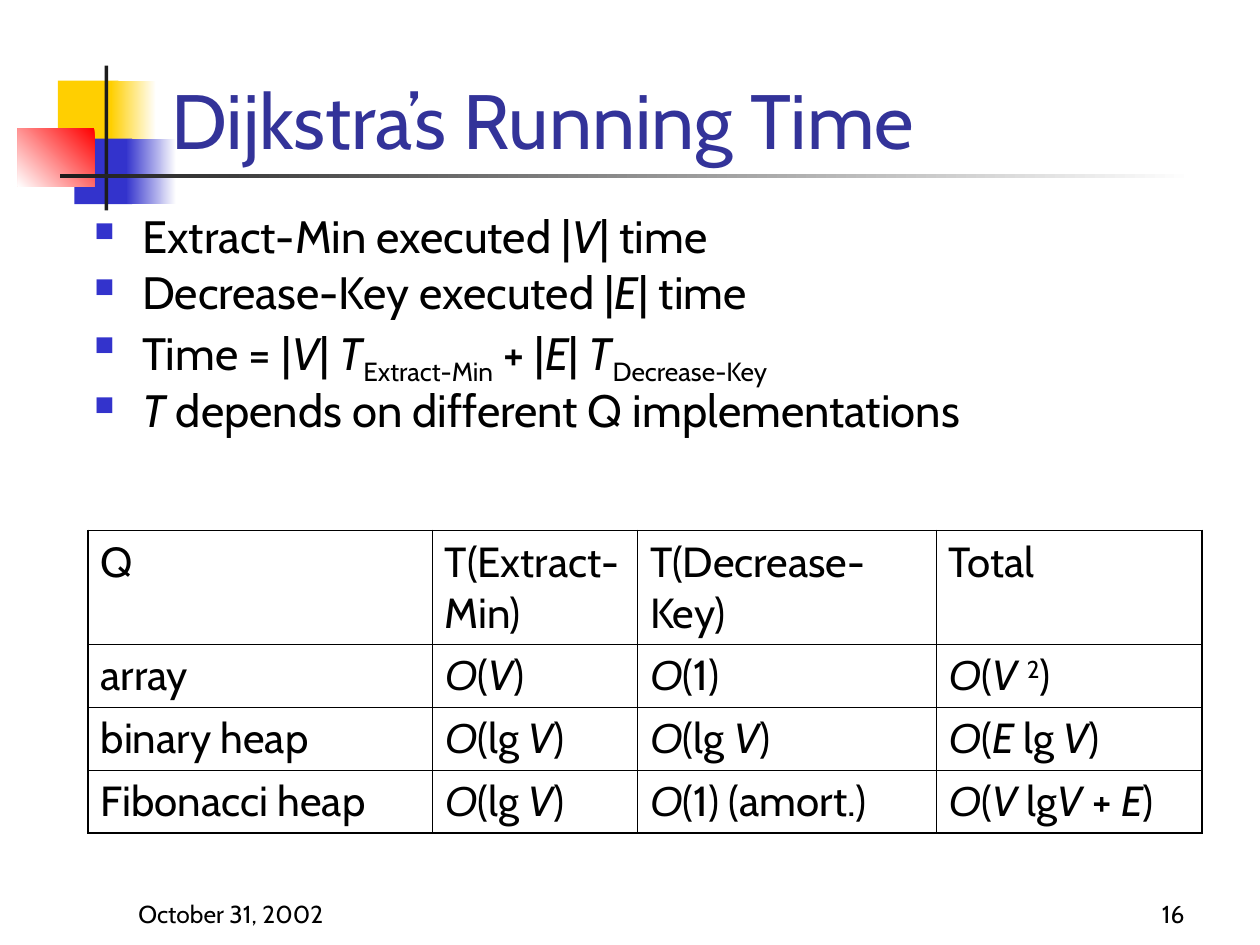
"""Build a slide on the running time of Dijkstra's algorithm."""
import pptx
import pptx.util
import pptx.dml.color
import pptx.enum.shapes
import pptx.enum.text
import pptx.oxml
import pptx.oxml.ns
from pptx.util import Inches, Pt

HUES = {"white": "FFFFFF", "black": "000000", "gold": "FFCF01", "blue": "3333CC",
        "red": "FF0000", "dark": "1C1C1C", "title": "333399"}
NS = pptx.oxml.ns.nsdecls("a")


def hue(name):
    return pptx.dml.color.RGBColor.from_string(HUES[name])


def write(para, text, size, color="black"):
    """Write runs parted by ~, led by * for italic, _ for sub, ^ for super."""
    para.font.size = Pt(size)
    para.font.name = "Cabin"
    para.font.color.rgb = hue(color)
    for part in filter(None, text.split("~")):
        mark = part[0] if part[0] in "*_^" else ""
        run = para.add_run()
        run.text = part[len(mark):]
        if mark == "*":
            run.font.italic = True
        elif mark:
            shift = {"_": "-25000", "^": "30000"}[mark]
            run.font._element.set("baseline", shift)
        if run.text == "Ο":
            run.font.name = "Arial"


deck = pptx.Presentation()
deck.slide_width, deck.slide_height = Inches(10), Inches(7.5)
slide = deck.slides.add_slide(deck.slide_layouts[5])
shapes = slide.shapes

bars = [
    (0.46, 0.64, 0.48, 0.52, "gold", "gold", 0),
    (0.88, 0.64, 0.36, 0.52, "white", "gold", 180),
    (0.59, 1.1, 0.46, 0.52, "blue", "blue", 0),
    (1, 1.1, 0.4, 0.52, "white", "blue", 180),
    (0.14, 1.02, 0.61, 0.46, "red", "white", 225),
    (0.83, 0.52, 0.03, 1.15, "dark", "dark", 0),
    (0.48, 1.38, 9, 0.03, "white", "dark", 180),
]
for *box, start, end, angle in bars:
    bar = shapes.add_shape(pptx.enum.shapes.MSO_SHAPE.RECTANGLE, *map(Inches, box))
    bar.shadow.inherit = False
    bar.line.fill.background()
    if start == end:
        bar.fill.solid()
        bar.fill.fore_color.rgb = hue(start)
    else:
        bar.fill.gradient()
        bar.fill.gradient_angle = angle
        for stop, name in zip(bar.fill.gradient_stops, (start, end)):
            stop.color.rgb = hue(name)

title = shapes.title
title.left, title.top = Inches(1.26), Inches(0.11)
title.width, title.height = Inches(8.52), Inches(1.25)
frame = title.text_frame
frame.auto_size = pptx.enum.text.MSO_AUTO_SIZE.NONE
frame.vertical_anchor = pptx.enum.text.MSO_ANCHOR.BOTTOM
frame.paragraphs[0].alignment = pptx.enum.text.PP_ALIGN.LEFT
write(frame.paragraphs[0], "Dijkstra’s Running Time", 44, "title")
shapes._spTree.append(title._element)

points = [
    "Extract-Min executed |~*V~| time",
    "Decrease-Key executed |~*E~| time",
    "Time = |~*V~| ~*T~_Extract-Min~ + |~*E~| ~*T~_Decrease-Key",
    "*T~ depends on different Q implementations",
]
body = shapes.add_textbox(Inches(0.65), Inches(1.69), Inches(9.14), Inches(1.91))
frame = body.text_frame
frame.word_wrap = True
for num, point in enumerate(points):
    para = frame.add_paragraph() if num else frame.paragraphs[0]
    para.line_spacing = 0.8
    para.space_before = Pt(7)
    props = para._p.get_or_add_pPr()
    props.set("marL", str(Inches(0.38)))
    props.set("indent", str(-Inches(0.38)))
    for xml in (f'<a:buClr {NS}><a:srgbClr val="{HUES["blue"]}"/></a:buClr>',
                f'<a:buSzPct {NS} val="60000"/>',
                f'<a:buChar {NS} char="■"/>'):
        props.append(pptx.oxml.parse_xml(xml))
    write(para, point, 25.9)

rows = [
    ["Q", "T(Extract-Min)", "T(Decrease-Key)", "Total"],
    ["array", "*Ο~(~*V~)", "*Ο~(1)", "*Ο~(~*V ~^2~)"],
    ["binary heap", "*Ο~(lg~* V~)", "*Ο~(lg ~*V~)", "*Ο~(~*E~ lg ~*V~)"],
    ["Fibonacci heap", "*Ο~(lg~* V~)", "*Ο~(1) (amort.)", "*Ο~(~*V~ lg~*V~ + ~*E~)"],
]
grid = shapes.add_table(4, 4, Inches(0.7), Inches(4.21), Inches(8.84), Inches(2.4)).table
grid.first_row = grid.horz_banding = False
for col, width in zip(grid.columns, (2.73, 1.63, 2.37, 2.11)):
    col.width = Inches(width)
for row, height in zip(grid.rows, (0.9, 0.5, 0.5, 0.5)):
    row.height = Inches(height)
for r, row in enumerate(rows):
    for c, text in enumerate(row):
        cell = grid.cell(r, c)
        cell.fill.background()
        para = cell.text_frame.paragraphs[0]
        para.space_before = Pt(6)
        write(para, text, 24)
        outer = {"L": c == 0, "R": c == 3, "T": r == 0, "B": r == 3}
        for spot, (side, edge) in enumerate(outer.items()):
            width = Pt(1.08 if edge else 0.45)
            line = (f'<a:ln{side} {NS} w="{width}"><a:solidFill>'
                    f'<a:srgbClr val="{HUES["black"]}"/></a:solidFill></a:ln{side}>')
            cell._tc.get_or_add_tcPr().insert(spot, pptx.oxml.parse_xml(line))

for left, text, align in ((7.42, "16", "RIGHT"), (1, "October 31, 2002", "LEFT")):
    note = shapes.add_textbox(Inches(left), Inches(6.92), Inches(2.08), Inches(0.5))
    frame = note.text_frame
    frame.word_wrap = True
    frame.vertical_anchor = pptx.enum.text.MSO_ANCHOR.BOTTOM
    frame.paragraphs[0].alignment = pptx.enum.text.PP_ALIGN[align]
    write(frame.paragraphs[0], text, 14)

deck.save("out.pptx")
